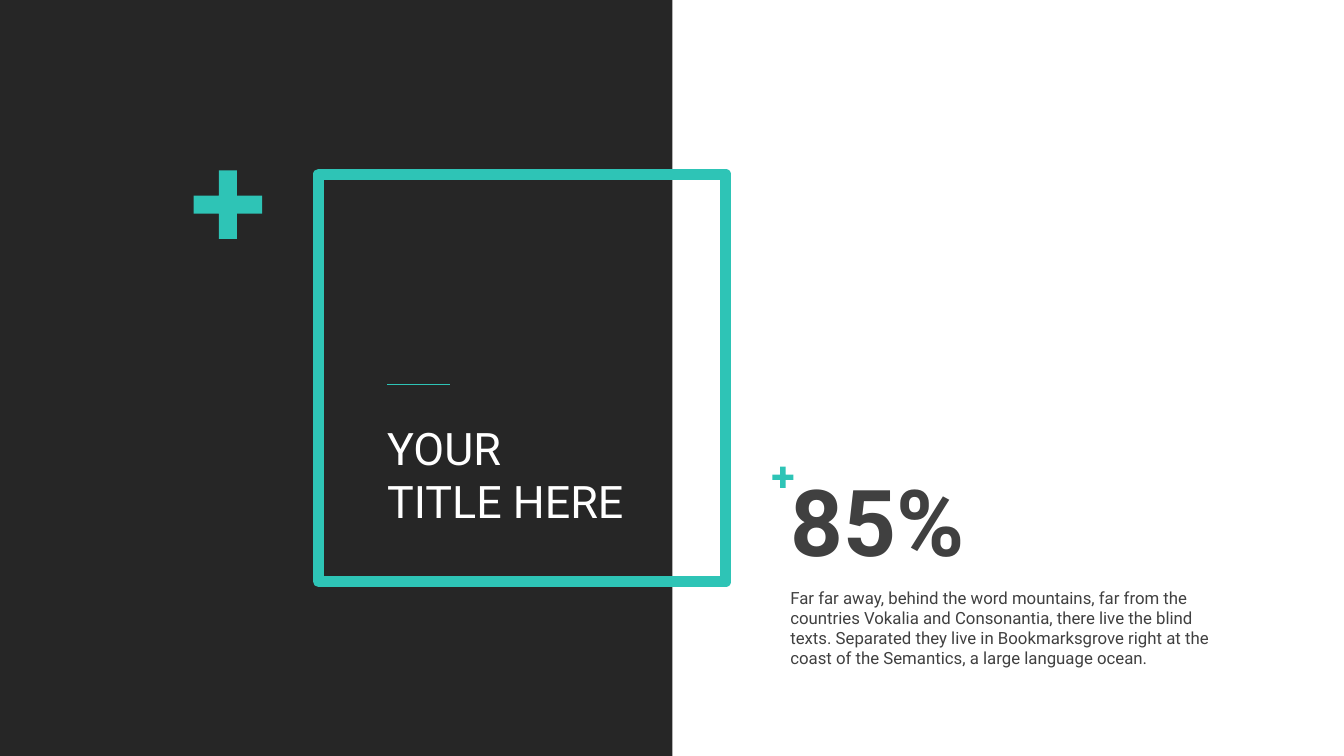
from pptx import Presentation
from pptx.dml.color import RGBColor
from pptx.enum.shapes import MSO_CONNECTOR, MSO_SHAPE
from pptx.enum.text import MSO_ANCHOR, MSO_AUTO_SIZE, PP_ALIGN
from pptx.oxml.ns import qn
from pptx.util import Inches, Pt
from lxml import etree

DARK = RGBColor(0x26, 0x26, 0x26)
GRAY = RGBColor(0x40, 0x40, 0x40)
TEAL = RGBColor(0x2E, 0xC4, 0xB6)
WHITE = RGBColor(0xFF, 0xFF, 0xFF)
RECT = MSO_SHAPE.RECTANGLE
PLUS = MSO_SHAPE.CROSS
STRAIGHT = MSO_CONNECTOR.STRAIGHT
TOP = MSO_ANCHOR.TOP
NO_FIT = MSO_AUTO_SIZE.NONE
LEFT = PP_ALIGN.LEFT

prs = Presentation()
prs.slide_width, prs.slide_height = Inches(13.33), Inches(7.5)
s = prs.slides.add_slide(prs.slide_layouts[5])
shapes = s.shapes


def add_block(kind, x, y, w, h, fill=None):
    sp = shapes.add_shape(kind, Inches(x), Inches(y), Inches(w), Inches(h))
    sp.shadow.inherit = False
    if fill is None:
        sp.fill.background()
    else:
        sp.fill.solid()
        sp.fill.fore_color.rgb = fill
        sp.line.fill.background()
    return sp


def write_text(sp, box, text, size, color, bold=False, wrap=True):
    sp.left, sp.top, sp.width, sp.height = [Inches(v) for v in box]
    tf = sp.text_frame
    tf.text = text
    tf.word_wrap = wrap
    tf.auto_size = NO_FIT
    tf.vertical_anchor = TOP
    for p in tf.paragraphs:
        p.alignment = LEFT
        p.font.name = "Roboto"
        p.font.size = Pt(size)
        p.font.bold = bold
        p.font.color.rgb = color


add_block(RECT, 0, 0, 6.67, 7.5, DARK)

frame = add_block(RECT, 3.16, 1.73, 4.04, 4.04)
frame.line.color.rgb = TEAL
frame.line.width = Pt(8)

for x, y, size in [(7.66, 4.63, 0.21), (1.92, 1.69, 0.68)]:
    plus = add_block(PLUS, x, y, size, size, TEAL)
    plus.adjustments[0] = 0.37

rule = shapes.add_connector(STRAIGHT, Inches(3.84), Inches(3.81), Inches(4.46), Inches(3.81))
rule.line.color.rgb = TEAL
rule.line.width = Pt(0.5)
etree.SubElement(rule._element.spPr, qn("a:effectLst"))

title = shapes.title
shapes._spTree.append(title._element)
write_text(title, (3.74, 4.12, 2.79, 1.18), "YOUR\nTITLE HERE", 32, WHITE, wrap=False)

figure = shapes.add_textbox(0, 0, 0, 0)
write_text(figure, (7.74, 4.56, 2.05, 1.21), "85%", 66, GRAY, bold=True, wrap=False)

body = shapes.add_textbox(0, 0, 0, 0)
write_text(
    body,
    (7.74, 5.78, 4.6, 0.91),
    "Far far away, behind the word mountains, far from the countries Vokalia and "
    "Consonantia, there live the blind texts. Separated they live in Bookmarksgrove "
    "right at the coast of the Semantics, a large language ocean.",
    12,
    GRAY,
)

prs.save("out.pptx")
